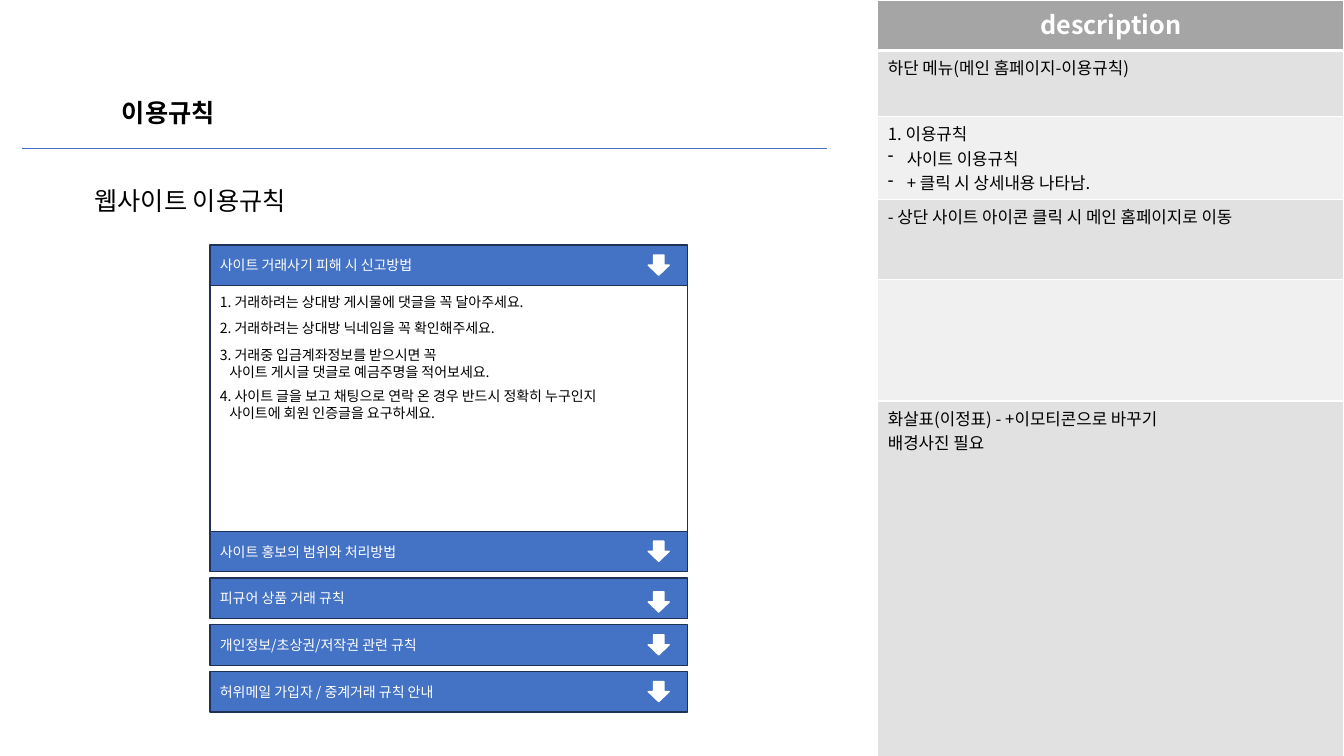
import pptx
import pptx.util
import pptx.dml.color
import pptx.enum.shapes
import pptx.enum.text
import pptx.oxml.ns
from lxml import etree

Pt = pptx.util.Pt
qn = pptx.oxml.ns.qn
Shape = pptx.enum.shapes.MSO_SHAPE
Align = pptx.enum.text.PP_ALIGN
Anchor = pptx.enum.text.MSO_ANCHOR
FACE = "Noto Sans CJK KR"
BLUE, NAVY, WHITE, BLACK = "4472C4", "1E3256", "FFFFFF", "000000"
LEFT, WIDTH, HIGH = 150, 341, 29


def paint(part, tone):
    """Give a fill or font colour from a hex string."""
    rgb = pptx.dml.color.RGBColor.from_string(tone)
    if hasattr(part, "solid"):
        part.solid()
        part.fore_color.rgb = rgb
    else:
        part.color.rgb = rgb


def write(frame, lines, size, tone, bold=False, align=Align.LEFT):
    """Fill a frame with (text, indent, bullet) lines."""
    for i, (text, inset, mark) in enumerate(lines):
        para = frame.paragraphs[0] if i == 0 else frame.add_paragraph()
        para.text = text
        para.alignment = align
        props = para._p.get_or_add_pPr()
        if inset:
            props.set("marL", str(Pt(inset)))
        if mark:
            props.set("indent", str(-Pt(inset)))
            etree.SubElement(props, qn("a:buChar"), char=mark)
        font = para.font
        font.size, font.bold, font.name = Pt(size), bold, FACE
        paint(font, tone)
        etree.SubElement(props.find(qn("a:defRPr")), qn("a:ea"), typeface=FACE)


def label(slide, box, lines, size, bold=False):
    """Add a text box that does not wrap."""
    frame = slide.shapes.add_textbox(*map(Pt, box)).text_frame
    frame.word_wrap = False
    write(frame, lines, size, BLACK, bold)


def block(slide, kind, box, fill, edge):
    """Add a plain outlined shape."""
    shape = slide.shapes.add_shape(kind, *map(Pt, box))
    shape.shadow.inherit = False
    paint(shape.fill, fill)
    paint(shape.line.fill, edge)
    shape.line.width = Pt(1)
    return shape


def bar(slide, top, text, drop=7.2):
    """Add a blue menu bar with its down arrow."""
    shape = block(slide, Shape.RECTANGLE, (LEFT, top, WIDTH, HIGH), BLUE, NAVY)
    shape.text_frame.vertical_anchor = Anchor.MIDDLE
    write(shape.text_frame, [(text, 0, "")], 10, WHITE)
    block(slide, Shape.DOWN_ARROW, (463, top + drop, 15, 14.4), WHITE, WHITE)


def rule(slide, left, right, top):
    """Add a thin blue level line."""
    kind = pptx.enum.shapes.MSO_CONNECTOR.STRAIGHT
    line = slide.shapes.add_connector(kind, Pt(left), Pt(top), Pt(right), Pt(top))
    paint(line.line.fill, BLUE)
    line.line.width = Pt(0.5)
    etree.SubElement(line._element.spPr, qn("a:effectLst"))


def border(cell, widths):
    """Add white cell borders: left, right, top, bottom."""
    props = cell._tc.get_or_add_tcPr()
    for side, width in zip("LRTB", widths):
        line = etree.SubElement(props, qn("a:ln" + side), w=str(Pt(width)))
        fill = etree.SubElement(line, qn("a:solidFill"))
        etree.SubElement(fill, qn("a:srgbClr"), val=WHITE)


def notes(slide):
    """Add the description table."""
    rows = [
        (36, [("description", 0, "")]),
        (47, [("하단 메뉴(메인 홈페이지-이용규칙)", 0, "")]),
        (52.5, [("1. 이용규칙", 0, ""), ("사이트 이용규칙", 13.5, "-"),
                ("+ 클릭 시 상세내용 나타남.", 13.5, "-")]),
        (57, [("- 상단 사이트 아이콘 클릭 시 메인 홈페이지로 이동", 0, "")]),
        (87, []),
        (260.5, [("화살표(이정표) - +이모티콘으로 바꾸기", 0, ""),
                 ("배경사진 필요", 0, "")]),
    ]
    grid = slide.shapes.add_table(len(rows), 1, Pt(627), Pt(0), Pt(333), Pt(540)).table
    for i, (high, lines) in enumerate(rows):
        grid.rows[i].height = Pt(high)
        cell = grid.cell(i, 0)
        border(cell, (1, 1, 3 if i == 1 else 1, 3 if i == 0 else 1))
        if i == 0:
            paint(cell.fill, "A5A5A5")
            write(cell.text_frame, lines, 18, WHITE, True, Align.CENTER)
        else:
            paint(cell.fill, "E1E1E1" if i % 2 else "F0F0F0")
            write(cell.text_frame, lines, 12, BLACK)


def main():
    """Build and save the slide."""
    deck = pptx.Presentation()
    deck.slide_width, deck.slide_height = Pt(960), Pt(540)
    slide = deck.slides.add_slide(deck.slide_layouts[6])
    notes(slide)
    label(slide, (80, 66, 87, 29), [("이용규칙", 0, "")], 18, True)
    rule(slide, 16, 591, 106)
    label(slide, (60.5, 129, 166, 29), [("웹사이트 이용규칙", 0, "")], 18)

    bar(slide, 175, "사이트 거래사기 피해 시 신고방법")
    menu = [("사이트 홍보의 범위와 처리방법", 7.2), ("피규어 상품 거래 규칙", 10),
            ("개인정보/초상권/저작권 관련 규칙", 7.2),
            ("허위메일 가입자 / 중계거래 규칙 안내", 7.2)]
    for i, (text, drop) in enumerate(menu):
        bar(slide, 379.4 + 33.4 * i, text, drop)

    block(slide, Shape.RECTANGLE, (LEFT, 204, WIDTH, 175.5), WHITE, NAVY)
    steps = [
        (206, 258, ["1. 거래하려는 상대방 게시물에 댓글을 꼭 달아주세요."]),
        (225, 234, ["2. 거래하려는 상대방 닉네임을 꼭 확인해주세요."]),
        (244, 235, ["3. 거래중 입금계좌정보를 받으시면 꼭",
                    "사이트 게시글 댓글로 예금주명을 적어보세요."]),
        (273.5, 318, ["4. 사이트 글을 보고 채팅으로 연락 온 경우 반드시 정확히 누구인지",
                      "사이트에 회원 인증글을 요구하세요."]),
    ]
    for top, wide, texts in steps:
        lines = [(text, 6.7 * i, "") for i, text in enumerate(texts)]
        label(slide, (LEFT, top, wide, 7.2 + 12.2 * len(texts)), lines, 10)
    deck.save("out.pptx")


if __name__ == "__main__":
    main()
